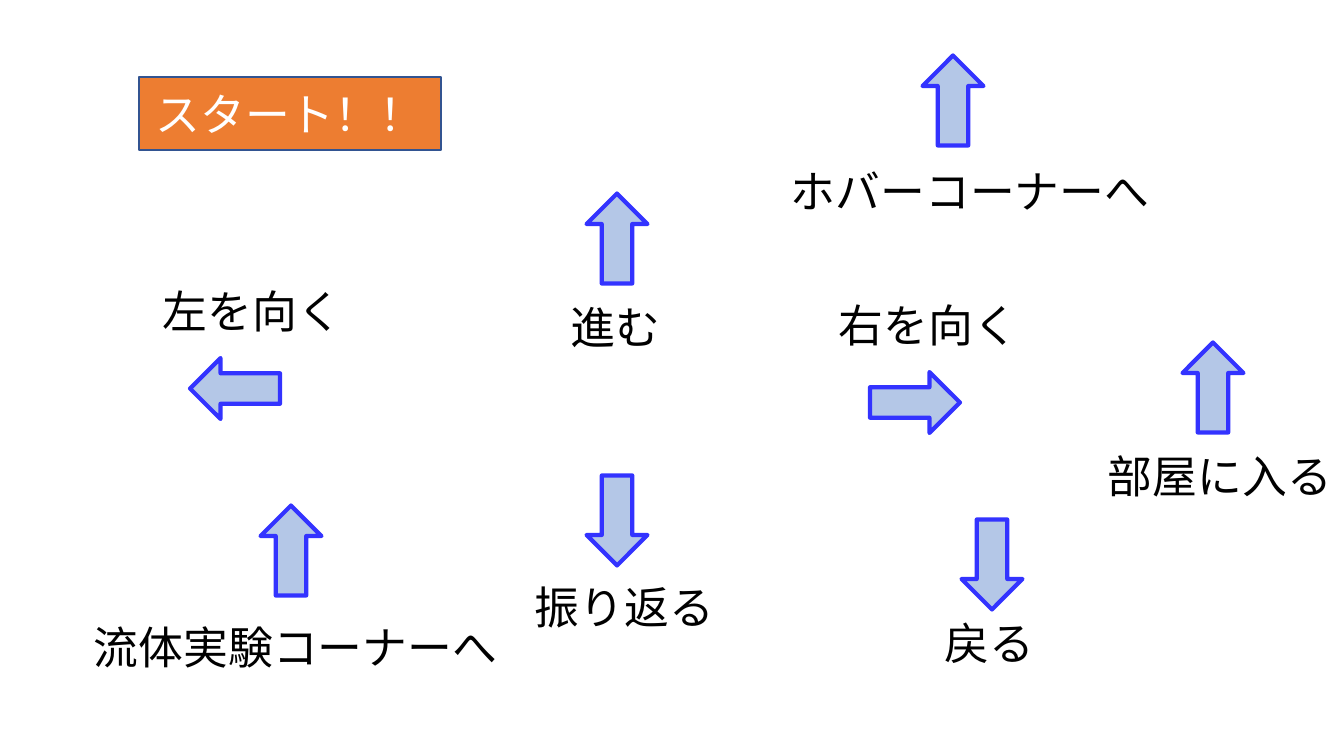
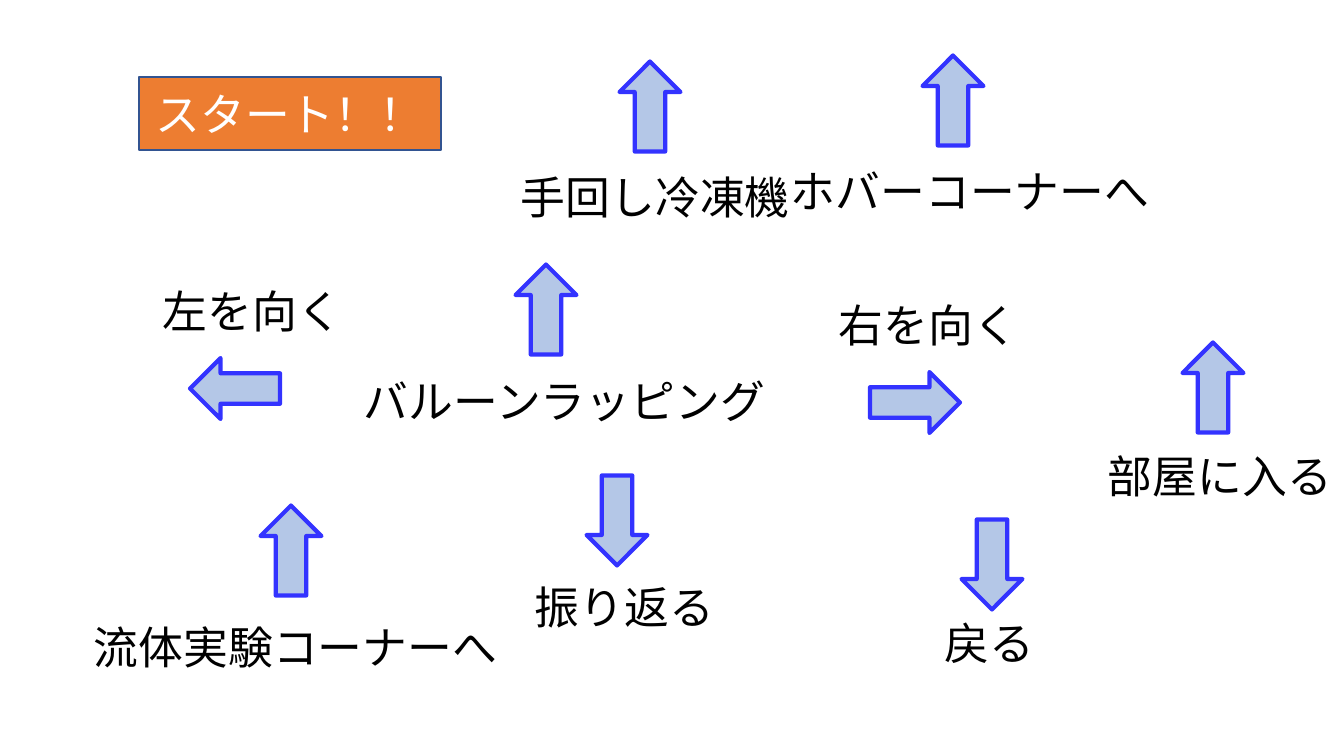
import pptx
import pptx.dml.color
import pptx.enum.shapes
import pptx.enum.text
import pptx.oxml.ns
import pptx.util
from lxml import etree

RGB = pptx.dml.color.RGBColor
ORANGE = RGB(0xED, 0x7D, 0x31)
NAVY = RGB(0x32, 0x54, 0x91)
PALE_BLUE = RGB(0xB4, 0xC7, 0xE7)
BLUE = RGB(0x33, 0x33, 0xFF)
WHITE = RGB(0xFF, 0xFF, 0xFF)
BLACK = RGB(0, 0, 0)

FONT = "Noto Sans CJK JP"
SHAPES = pptx.enum.shapes.MSO_SHAPE
SCALE = 914400 / 100.8
ARROW_W, ARROW_H, LABEL_H = 90, 61, 65
RIGHT, DOWN, LEFT, UP = 0, 90, 180, 270


def add_box(shapes, kind, box, fill, line, width):
    """Add a filled, outlined preset shape; box is in pixels."""
    sp = shapes.add_shape(kind, *[round(v * SCALE) for v in box])
    sp.shadow.inherit = False
    sp.fill.solid()
    sp.fill.fore_color.rgb = fill
    sp.line.color.rgb = line
    sp.line.width = pptx.util.Pt(width)
    return sp


def write(sp, text, color, align, frame_format):
    """Put one line of 32 pt text in a shape."""
    tf = sp.text_frame
    for name, value in frame_format.items():
        setattr(tf, name, value)
    p = tf.paragraphs[0]
    p.alignment = align
    r = p.add_run()
    r.text = text
    for name, value in {"name": FONT, "size": pptx.util.Pt(32)}.items():
        setattr(r.font, name, value)
    r.font.color.rgb = color
    ea = etree.SubElement(r.font._element, pptx.oxml.ns.qn("a:ea"))
    ea.set("typeface", FONT)


# Each sign: text, arrow direction, arrow left and top, label left, top and width
TURN_RIGHT = ("右を向く", RIGHT, 870, 372, 829, 293, 202)
FORWARD = ("進む", UP, 572, 208, 561, 295, 111)
COMMON = [
    ("左を向く", LEFT, 190, 358, 153, 279, 202),
    ("振り返る", DOWN, 572, 490, 525, 575, 202),
    ("戻る", DOWN, 947, 534, 935, 611, 111),
    ("流体実験コーナーへ", UP, 246, 520, 84, 615, 427),
    ("ホバーコーナーへ", UP, 908, 70, 781, 159, 382),
    ("部屋に入る", UP, 1168, 357, 1098, 444, 247),
]
EXHIBITS = [
    ("手回し冷凍機", UP, 605, 76, 511, 165, 291),
    ("バルーンラッピング", UP, 501, 279, 354, 369, 427),
]
SLIDES = [
    [TURN_RIGHT, FORWARD] + COMMON,
    [TURN_RIGHT] + COMMON + EXHIBITS,
]

START_FORMAT = {
    "word_wrap": True,
    "vertical_anchor": pptx.enum.text.MSO_ANCHOR.MIDDLE,
}
LABEL_FORMAT = {
    "word_wrap": False,
    "auto_size": pptx.enum.text.MSO_AUTO_SIZE.SHAPE_TO_FIT_TEXT,
}

prs = pptx.Presentation()
prs.slide_width = round(1344 * SCALE)
prs.slide_height = round(756 * SCALE)

for signs in SLIDES:
    slide = prs.slides.add_slide(prs.slide_layouts[6])
    start = add_box(slide.shapes, SHAPES.RECTANGLE, (139, 77, 302, 73),
                    ORANGE, NAVY, 1)
    write(start, "スタート！！", WHITE, pptx.enum.text.PP_ALIGN.CENTER,
          START_FORMAT)

    for text, direction, arrow_x, arrow_y, label_x, label_y, label_w in signs:
        group = slide.shapes.add_group_shape()
        arrow = add_box(group.shapes, SHAPES.RIGHT_ARROW,
                        (arrow_x, arrow_y, ARROW_W, ARROW_H),
                        PALE_BLUE, BLUE, 3)
        arrow.rotation = direction
        label_box = (label_x, label_y, label_w, LABEL_H)
        label = group.shapes.add_textbox(*[round(v * SCALE) for v in label_box])
        write(label, text, BLACK, pptx.enum.text.PP_ALIGN.LEFT, LABEL_FORMAT)

prs.save("out.pptx")
